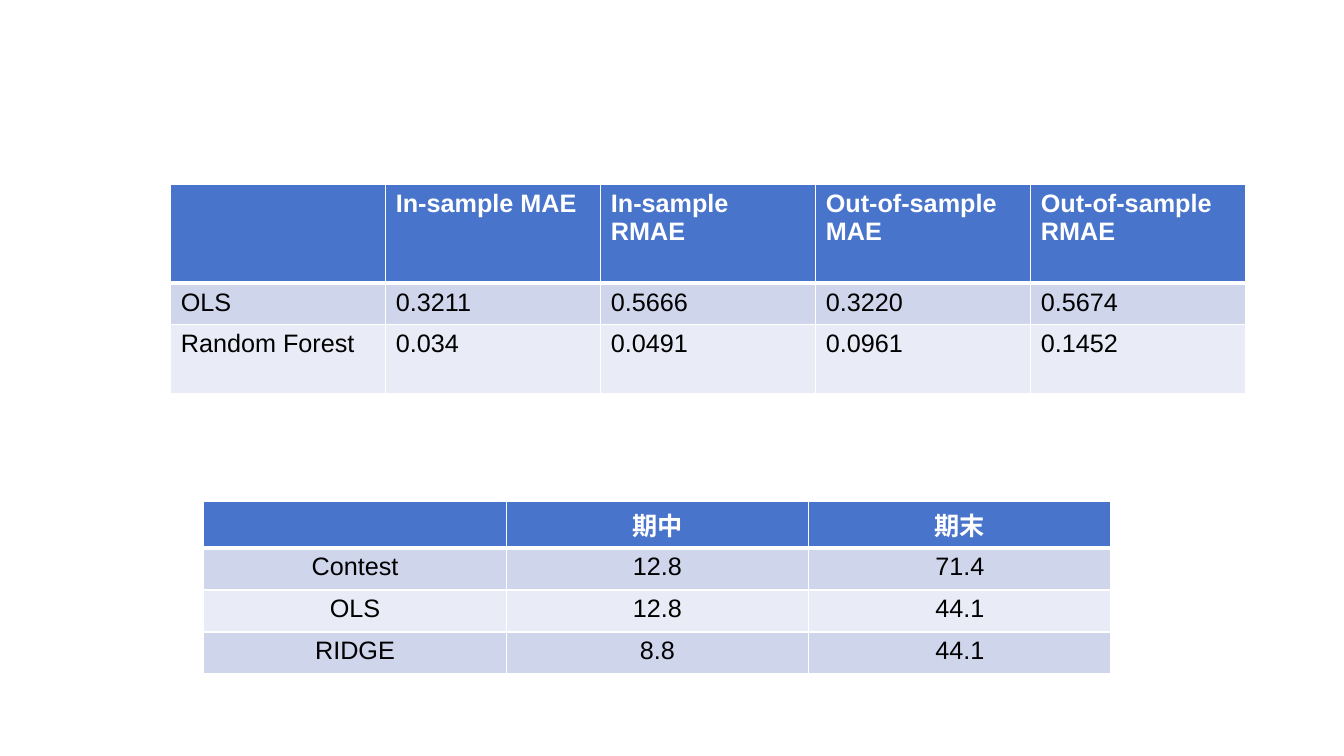
"""Build a slide with two model result tables."""
from dataclasses import dataclass

from lxml import etree
from pptx import Presentation
from pptx.dml.color import RGBColor
from pptx.enum.text import PP_ALIGN
from pptx.oxml.ns import qn
from pptx.util import Pt

LEFT, CENTER = PP_ALIGN.LEFT, PP_ALIGN.CENTER


@dataclass(frozen=True)
class Theme:
    font: str = "Arial"
    size: int = 18
    header: str = "4874CB"
    bands: tuple = ("CFD6EC", "E9EBF6")
    header_text: str = "FFFFFF"
    body_text: str = "000000"
    border: str = "FFFFFF"
    thin: int = 1
    thick: int = 3


theme = Theme()


def add_border(cell, side, width):
    properties = cell._tc.get_or_add_tcPr()
    line = etree.SubElement(properties, qn(f"a:ln{side}"), w=str(Pt(width)))
    fill = etree.SubElement(line, qn("a:solidFill"))
    etree.SubElement(fill, qn("a:srgbClr"), val=theme.border)


def add_results(page, left, top, column_width, heights, align, rows):
    columns = len(rows[0])
    frame = page.shapes.add_table(
        len(rows), columns, Pt(left), Pt(top), Pt(column_width * columns), Pt(sum(heights))
    )
    table = frame.table
    for column in table.columns:
        column.width = Pt(column_width)
    for index, (values, height) in enumerate(zip(rows, heights)):
        table.rows[index].height = Pt(height)
        is_header = index == 0
        fill_color = theme.header if is_header else theme.bands[(index - 1) % 2]
        text_color = theme.header_text if is_header else theme.body_text
        widths = {
            "L": theme.thin,
            "R": theme.thin,
            "T": theme.thick if index == 1 else theme.thin,
            "B": theme.thick if is_header else theme.thin,
        }
        for cell, value in zip(table.rows[index].cells, values):
            for side, width in widths.items():
                add_border(cell, side, width)
            cell.fill.solid()
            cell.fill.fore_color.rgb = RGBColor.from_string(fill_color)
            para = cell.text_frame.paragraphs[0]
            para.alignment = align
            if value:
                span = para.add_run()
                span.text = value
                span.font.name = theme.font
                span.font.size = Pt(theme.size)
                span.font.bold = is_header
                span.font.color.rgb = RGBColor.from_string(text_color)


deck = Presentation()
deck.slide_width, deck.slide_height = Pt(960), Pt(540)
page = deck.slides.add_slide(deck.slide_layouts[6])

score_rows = [
    ("", "期中", "期末"),
    ("Contest", "12.8", "71.4"),
    ("OLS", "12.8", "44.1"),
    ("RIDGE", "8.8", "44.1"),
]
error_rows = [
    ("", "In-sample MAE", "In-sample RMAE", "Out-of-sample MAE", "Out-of-sample RMAE"),
    ("OLS", "0.3211", "0.5666", "0.3220", "0.5674"),
    ("Random Forest", "0.034", "0.0491", "0.0961", "0.1452"),
]

add_results(page, 145.6, 358.2, 216, [30] * len(score_rows), CENTER, score_rows)
add_results(page, 122, 131.8, 153.6, [70.6, 29.6, 49.4], LEFT, error_rows)

deck.save("out.pptx")
